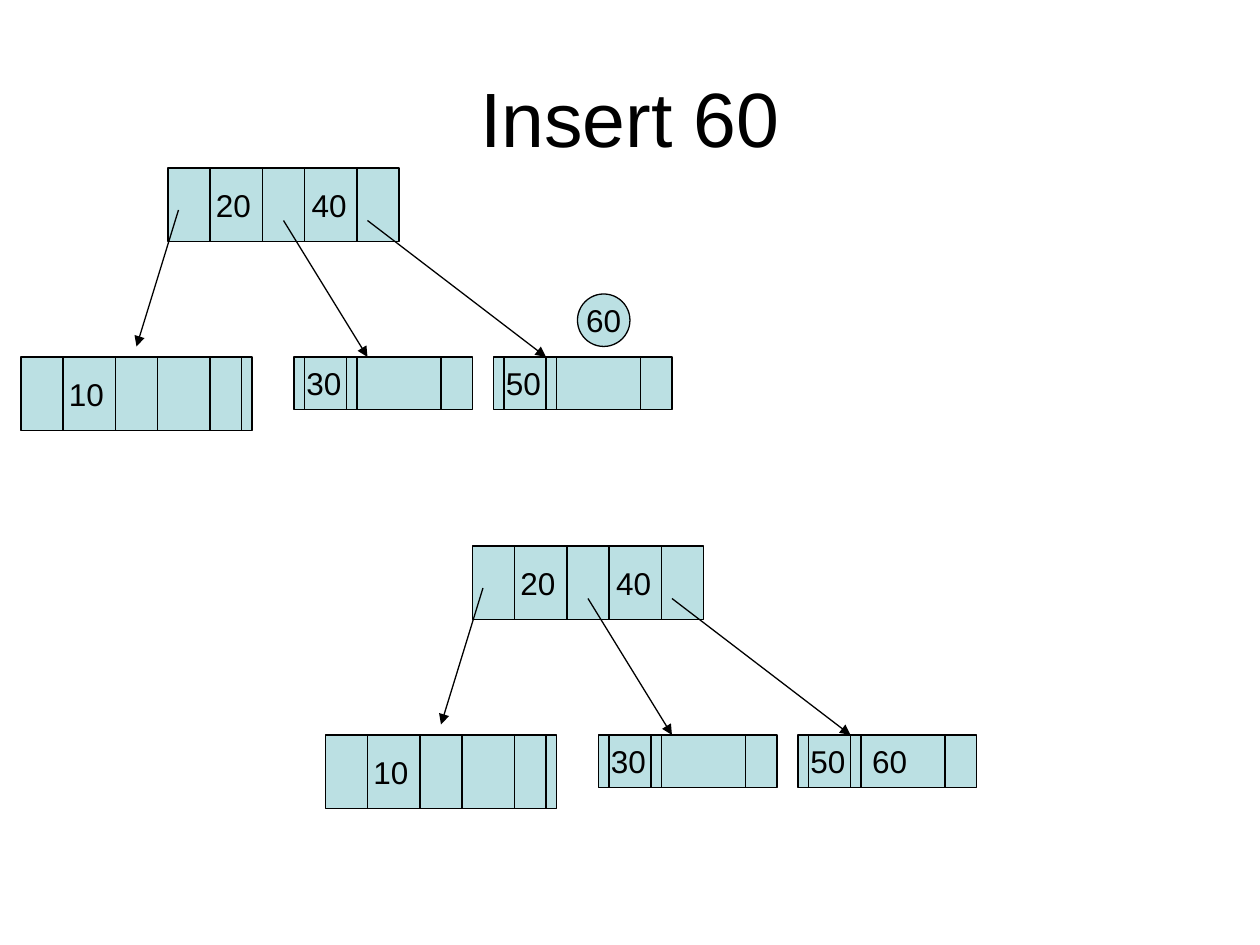
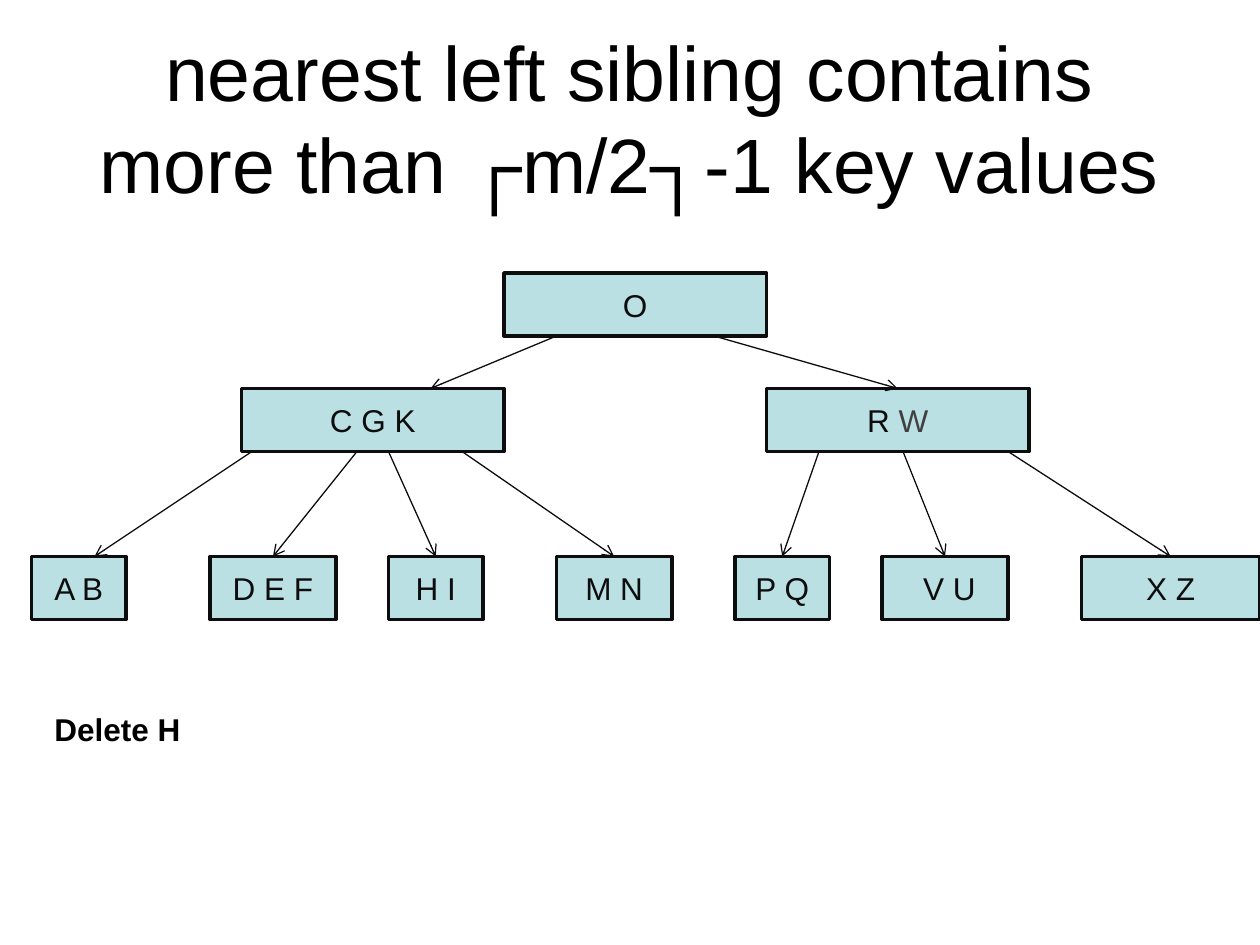
import pptx
import pptx.dml.color
import pptx.enum.shapes
import pptx.enum.text
import pptx.oxml.ns
import pptx.util
from lxml import etree

Inches = pptx.util.Inches
Pt = pptx.util.Pt
SHAPES = pptx.enum.shapes.MSO_SHAPE
ALIGN = pptx.enum.text.PP_ALIGN
qn = pptx.oxml.ns.qn

FONT = "Arial"
BLACK, INK, GREY, TEAL = "000000", "0D0D0D", "404040", "BBE0E3"


def color(value):
    return pptx.dml.color.RGBColor.from_string(value)


def grid(n):
    return Inches(n / 12)


class Deck:
    def __init__(self):
        self.prs = pptx.Presentation()
        self.prs.slide_width = Inches(10)
        self.prs.slide_height = Inches(7.5)

    def slide(self, title):
        self.s = self.prs.slides.add_slide(self.prs.slide_layouts[6])
        sp = self.s.shapes.add_textbox(Inches(0.5), Inches(0.3), Inches(9), Inches(1.25))
        self.add_text(sp, [(title, BLACK)], size=44)

    def add_text(self, sp, runs, size=18, align=ALIGN.CENTER, bold=False,
                 wrap=True, inset=0.1, tab=None):
        tf = sp.text_frame
        tf.word_wrap = wrap
        tf.vertical_anchor = pptx.enum.text.MSO_ANCHOR.MIDDLE
        tf.margin_left = Inches(inset)
        p = tf.paragraphs[0]
        p.alignment = align
        if tab:
            tabs = etree.SubElement(p._p.get_or_add_pPr(), qn("a:tabLst"))
            etree.SubElement(tabs, qn("a:tab"), pos=str(Inches(tab)), algn="l")
        for text, ink in runs:
            r = p.add_run()
            r.text = text
            r.font.name = FONT
            r.font.size = Pt(size)
            r.font.bold = bold
            r.font.color.rgb = color(ink)

    def box(self, x, y, w, h, runs, kind=SHAPES.RECTANGLE, line=BLACK, weight=0.75, **style):
        sp = self.s.shapes.add_shape(kind, grid(x), grid(y), grid(w), grid(h))
        sp.shadow.inherit = False
        sp.fill.solid()
        sp.fill.fore_color.rgb = color(TEAL)
        sp.line.color.rgb = color(line)
        sp.line.width = Pt(weight)
        self.add_text(sp, runs, **style)

    def line(self, x1, y1, x2, y2, ink=BLACK, head=None):
        cn = self.s.shapes.add_connector(
            pptx.enum.shapes.MSO_CONNECTOR.STRAIGHT, grid(x1), grid(y1), grid(x2), grid(y2))
        cn.line.color.rgb = color(ink)
        cn.line.width = Pt(0.75)
        if head:
            etree.SubElement(cn.line._get_or_add_ln(), qn("a:tailEnd"), type=head)
        etree.SubElement(cn._element.spPr, qn("a:effectLst"))

    def node(self, x, y, w, h, text, dividers, **style):
        self.box(x, y, w, h, [(text, BLACK)], align=ALIGN.LEFT, **style)
        for d in dividers:
            self.line(x + d, y, x + d, y + h)

    def tree(self, dx, dy, last_leaf):
        wide, narrow = (4, 9, 13, 18), (1, 5, 6, 14)
        self.node(16 + dx, 16 + dy, 22, 7, "20\t40", wide, inset=0.38, tab=0.76)
        self.node(2 + dx, 34 + dy, 22, 7, "10", wide + (21,), inset=0.38)
        for x, text in ((28, "30"), (47, last_leaf)):
            self.node(x + dx, 34 + dy, 17, 5, text, narrow, tab=0.49)
        for x1, y1, x2, y2 in ((17, 20, 13, 33), (27, 21, 35, 34), (35, 21, 52, 34)):
            self.line(x1 + dx, y1 + dy, x2 + dx, y2 + dy, head="triangle")

    def label(self, x, y, w, h, text):
        sp = self.s.shapes.add_textbox(grid(x), grid(y), grid(w), grid(h))
        self.add_text(sp, [(text, BLACK)], align=ALIGN.LEFT, bold=True)


def insert_slide(deck):
    deck.slide("Insert 60")
    deck.tree(0, 0, "50")
    deck.box(55, 28, 5, 5, [("60", BLACK)], kind=SHAPES.OVAL, wrap=False)
    deck.tree(29, 36, "50\t60")


def delete_slide(deck):
    deck.slide("nearest left sibling contains more than ┌m/2┐-1 key values")
    parents = (
        (48, 26, [("O", INK)]),
        (23, 37, [("C G K", INK)]),
        (73, 37, [("R ", INK), ("W", GREY)]),
    )
    leaves = ((3, 9, "A B"), (20, 12, "D E F"), (37, 9, "H I"), (53, 11, "M N"),
              (70, 9, "P Q"), (84, 12, " V U"), (103, 17, "X Z"))
    for x, y, runs in parents:
        deck.box(x, y, 25, 6, runs, line=INK, weight=2)
    for x, w, text in leaves:
        deck.box(x, 53, w, 6, [(text, INK)], line=INK, weight=2)

    for start, end in ((53, 41), (68, 85.5)):
        deck.line(start, 32, end, 37, INK, "arrow")
    starts = (24, 34, 37, 44, 78, 86, 96)
    ends = [9] + [x + w / 2 for x, w, text in leaves[1:]]
    for start, end in zip(starts, ends):
        deck.line(start, 43, end, 53, INK, "arrow")
    deck.label(4, 67, 72, 4.8, "Delete H")


def main():
    deck = Deck()
    insert_slide(deck)
    delete_slide(deck)
    deck.prs.save("out.pptx")


if __name__ == "__main__":
    main()
